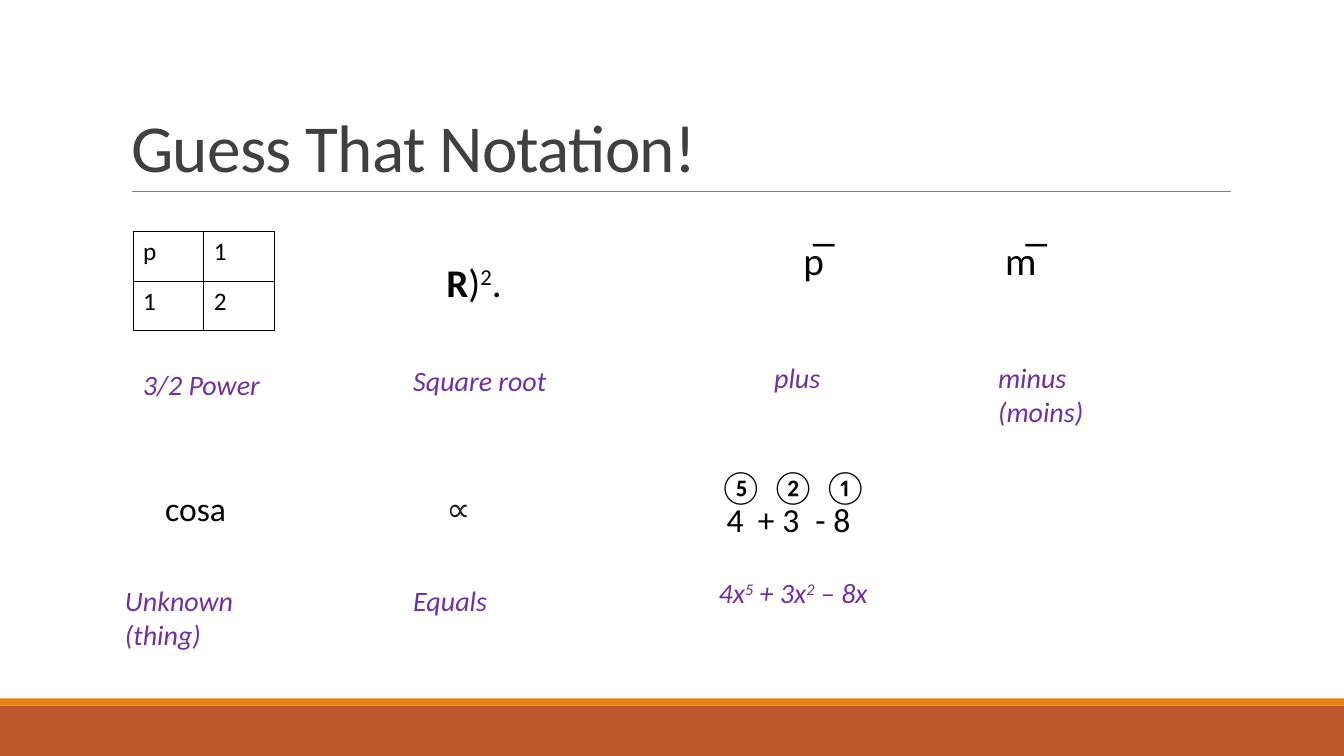
"""Build the "Guess That Notation!" slide: historic symbols with their meanings."""
from lxml.etree import SubElement
from pptx import Presentation
from pptx.dml.color import RGBColor as Rgb
from pptx.enum.shapes import MSO_CONNECTOR as Link, MSO_SHAPE as Shape
from pptx.enum.text import MSO_ANCHOR as Anchor, MSO_AUTO_SIZE as Fit, PP_ALIGN as Align
from pptx.oxml.ns import qn
from pptx.util import Inches as In, Pt

COLORS = {"ink": "000000", "title": "404040", "answer": "7030A0", "relation": "202124",
          "rule": "808080", "band": "BD582C", "stripe": "E48312"}
WIDTH, HEIGHT = 13.33, 7.5
COLUMNS = (1.32, 4, 7.03, 9.8)
SYMBOL_X = COLUMNS[1] + 0.33
ANSWER_W, ONE_LINE, TWO_LINES = 1.75, 0.44, 0.77
BAND_TOP, STRIPE_TOP = 7, 6.93
RULE_Y = 1.9


def add_run(paragraph, text, size, color, face="Calibri", bold=False, italic=False, raised=False):
    run = paragraph.add_run()
    run.text = text
    font = run.font
    font.name, font.size, font.bold, font.italic = face, Pt(size), bold, italic
    font.color.rgb = Rgb.from_string(COLORS[color])
    if raised:
        run._r.get_or_add_rPr().set("baseline", "30000")
    return run


def add_label(left, top, width, height, pieces, size, color, tabs=(), **style):
    frame = slide.shapes.add_textbox(In(left), In(top), In(width), In(height)).text_frame
    frame.word_wrap = True
    frame.auto_size = Fit.SHAPE_TO_FIT_TEXT
    line = frame.paragraphs[0]
    for text, extra in pieces:
        add_run(line, text, size, color, **style, **extra)
    if tabs:
        stops = SubElement(line._p.get_or_add_pPr(), qn("a:tabLst"))
        for stop in tabs:
            SubElement(stops, qn("a:tab"), pos=str(In(stop)), algn="l")


deck = Presentation()
deck.slide_width, deck.slide_height = In(WIDTH), In(HEIGHT)
slide = deck.slides.add_slide(deck.slide_layouts[5])

for top, height, color in ((BAND_TOP, HEIGHT - BAND_TOP, "band"),
                           (STRIPE_TOP, BAND_TOP - STRIPE_TOP, "stripe")):
    footer = slide.shapes.add_shape(Shape.RECTANGLE, 0, In(top), In(WIDTH), In(height))
    footer.shadow.inherit = False
    footer.fill.solid()
    footer.fill.fore_color.rgb = Rgb.from_string(COLORS[color])
    footer.line.fill.background()

rule = slide.shapes.add_connector(Link.STRAIGHT, In(1.31), In(RULE_Y), In(12.21), In(RULE_Y))
rule.line.color.rgb = Rgb.from_string(COLORS["rule"])
rule.line.width = Pt(0.5)
SubElement(rule._element.spPr, qn("a:effectLst"))

title = slide.shapes.title
title.left, title.top, title.width, title.height = In(1.2), In(0.31), In(11), In(RULE_Y - 0.31)
title.text_frame.auto_size = Fit.NONE
title.text_frame.word_wrap = True
title.text_frame.vertical_anchor = Anchor.BOTTOM
heading = title.text_frame.paragraphs[0]
heading.alignment = Align.LEFT
heading.line_spacing = 0.85
headline = add_run(heading, "Guess That Notation!", 48, "title")
headline._r.get_or_add_rPr().set("spc", "-50")

power = (("p", "1"), ("1", "2"))
grid = slide.shapes.add_table(2, 2, In(COLUMNS[0]), In(2.3), In(1.4), In(0.98)).table
grid.first_row = grid.horz_banding = False
for row, values in enumerate(power):
    for column, value in enumerate(values):
        cell = grid.cell(row, column)
        add_run(cell.text_frame.paragraphs[0], value, 18, "ink")
        borders = cell._tc.get_or_add_tcPr()
        for side in ("lnL", "lnR", "lnT", "lnB"):
            edge = SubElement(borders, qn(f"a:{side}"), w=str(Pt(1)))
            SubElement(SubElement(edge, qn("a:solidFill")), qn("a:srgbClr"), val=COLORS["ink"])
        cell.fill.background()

root = (("R", {"bold": True}), (")", {}), ("2", {"raised": True}), (".", {}))
add_label(SYMBOL_X, 2.51, 2.37, 0.57, root, 28, "ink")
add_label(7.87, 2.3, 3.87, 0.57, [("p̅\tm̅", {})], 28, "ink", tabs=[2])
add_label(1.54, 4.79, 1.9, 0.5, [("cosa", {})], 24, "ink")
add_label(SYMBOL_X, 4.79, 1.54, 0.5, [("∝", {})], 24, "relation", face="Cabin")
add_label(COLUMNS[2] + 0.08, 4.9, 3.87, 0.5, [("4\t+ 3\t- 8", {})], 24, "ink", tabs=[0.31, 0.88])
add_label(COLUMNS[2], 4.57, 3.95, 0.5, [("⑤ ② ①", {})], 24, "ink")

polynomial = (("4x", {}), ("5", {"raised": True}), (" + 3x", {}), ("2", {"raised": True}), (" – 8x", {}))
answers = (
    (COLUMNS[0], 3.6, 1.4, ONE_LINE, [("3/2 Power", {})]),
    (COLUMNS[1], 3.56, ANSWER_W, ONE_LINE, [("Square root", {})]),
    (7.58, 3.53, ANSWER_W, ONE_LINE, [("plus", {})]),
    (COLUMNS[3], 3.53, ANSWER_W, TWO_LINES, [("minus (moins)", {})]),
    (1.14, 5.74, ANSWER_W, TWO_LINES, [("Unknown (thing)", {})]),
    (COLUMNS[1], 5.74, ANSWER_W, ONE_LINE, [("Equals", {})]),
    (COLUMNS[2], 5.66, ANSWER_W, ONE_LINE, polynomial),
)
for left, top, width, height, pieces in answers:
    add_label(left, top, width, height, pieces, 20, "answer", italic=True)

deck.save("out.pptx")
